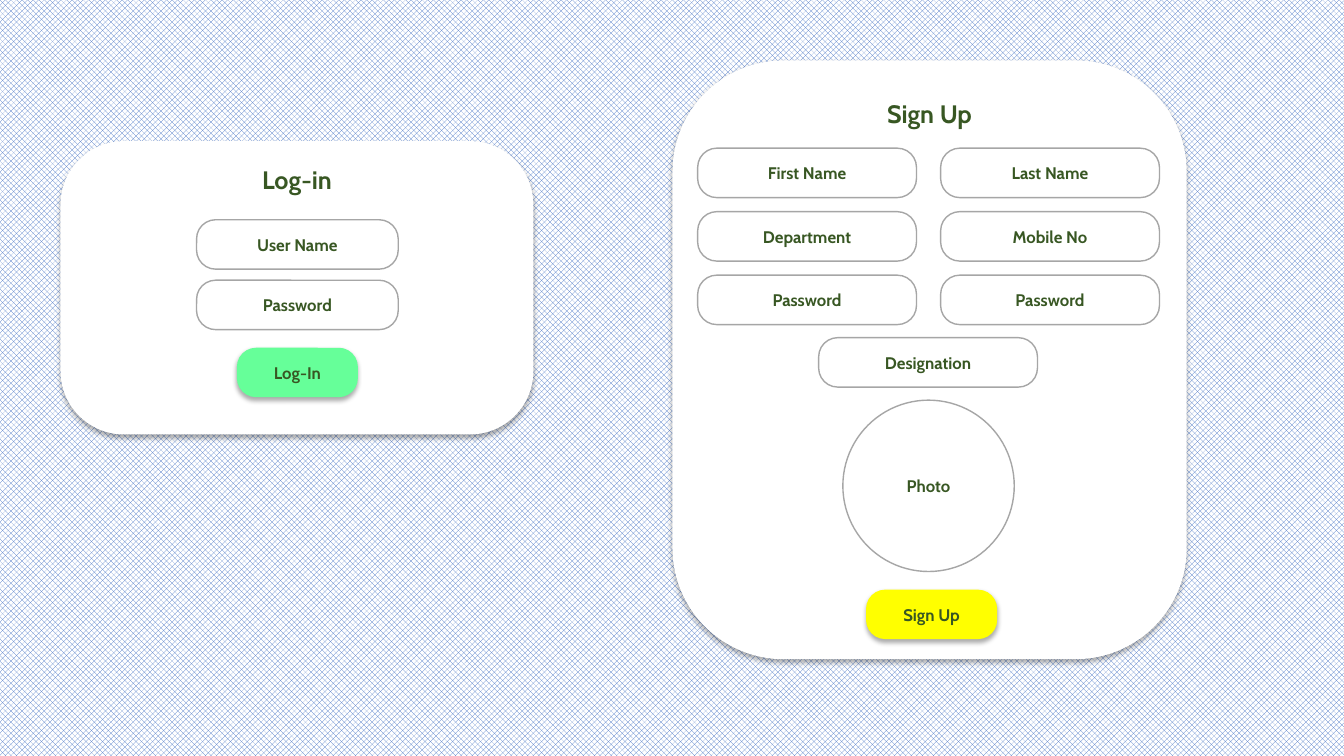
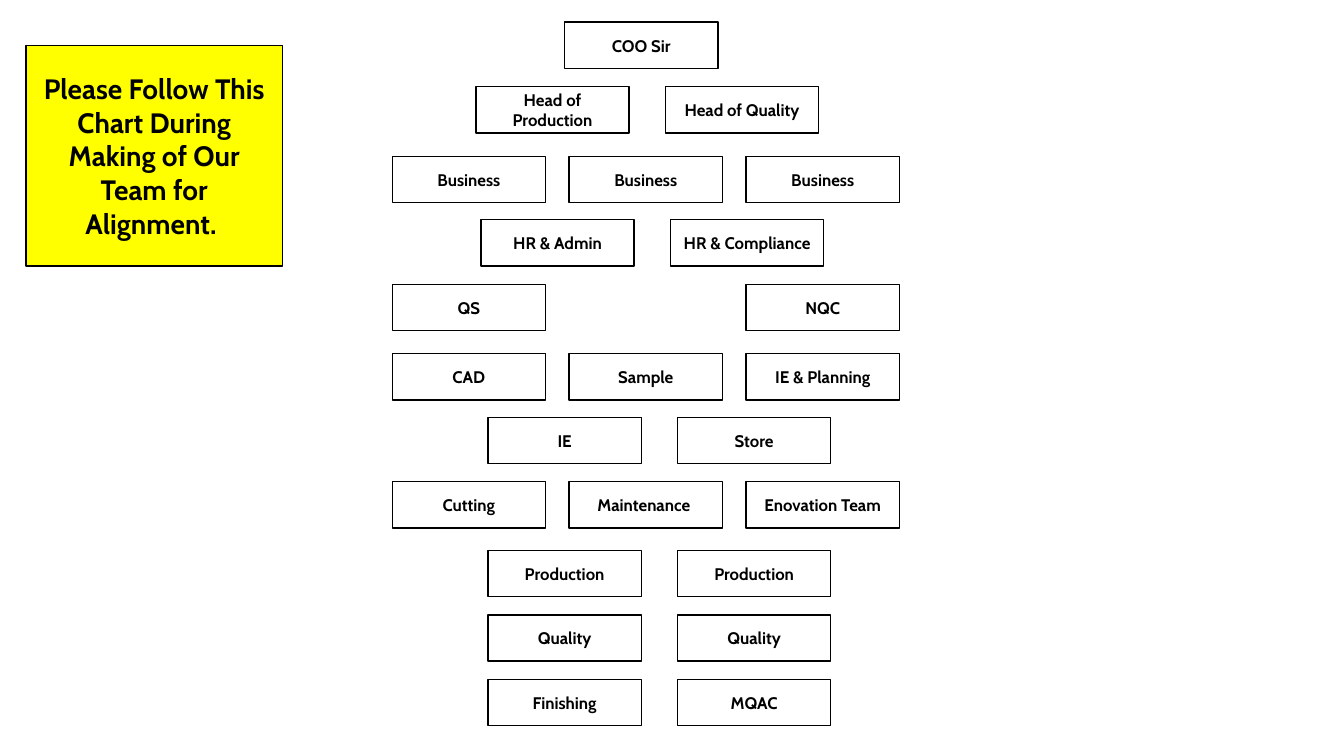
from dataclasses import dataclass

from lxml import etree
from pptx import Presentation
from pptx import util as u
from pptx.dml.color import RGBColor
from pptx.enum import dml, shapes, text
from pptx.oxml import ns
from pptx.shapes.autoshape import Shape
from pptx.shapes.shapetree import GroupShapes, SlideShapes
from pptx.slide import Slide

BLACK = RGBColor(0x00, 0x00, 0x00)
WHITE = RGBColor(0xFF, 0xFF, 0xFF)
BLUE = RGBColor(0x44, 0x72, 0xC4)
GREEN = RGBColor(0x38, 0x57, 0x23)
GRAY = RGBColor(0xA6, 0xA6, 0xA6)
MINT = RGBColor(0x66, 0xFF, 0x99)
YELLOW = RGBColor(0xFF, 0xFF, 0x00)

FONT = "Cabin"
RECT = shapes.MSO_SHAPE.RECTANGLE
ROUND = shapes.MSO_SHAPE.ROUNDED_RECTANGLE
OVAL = shapes.MSO_SHAPE.OVAL
TOP = text.MSO_ANCHOR.TOP
MIDDLE = text.MSO_ANCHOR.MIDDLE

Tree = SlideShapes | GroupShapes


@dataclass(frozen=True)
class Style:
    form: shapes.MSO_SHAPE
    ink: RGBColor
    size: int = 12
    fill: RGBColor | None = None
    line: RGBColor | None = None
    bend: float | None = None
    shade: bool = False
    anchor: text.MSO_ANCHOR = MIDDLE


@dataclass(frozen=True)
class Box:
    label: str
    left: float
    top: float
    width: float
    height: float
    style: Style


@dataclass(frozen=True)
class Row:
    top: float
    left: float
    step: float
    names: tuple[str, ...]


CARD = Style(ROUND, GREEN, 18, WHITE, bend=0.216, shade=True, anchor=TOP)
FIELD = Style(ROUND, GREEN, line=GRAY, bend=0.386)
PHOTO = Style(OVAL, GREEN, line=GRAY)
ENTER = Style(ROUND, GREEN, fill=MINT, bend=0.386, shade=True)
JOIN = Style(ROUND, GREEN, fill=YELLOW, bend=0.386, shade=True)
ROLE = Style(RECT, BLACK, line=BLACK)
NOTE = Style(RECT, BLACK, 20, YELLOW, BLACK)

FIELD_H = 0.49
FIELD_W = 2.17
ROLE_W, ROLE_H = 1.52, 0.46
PAIR, TRIO = 1.88, 1.755

LOGIN = (
    Box("Log-in", 0.6, 1.4, 4.69, 2.91, CARD),
    Box("User Name", 1.95, 2.18, 2, FIELD_H, FIELD),
    Box("Password", 1.95, 2.78, 2, FIELD_H, FIELD),
    Box("Log-In", 2.35, 3.45, 1.2, FIELD_H, ENTER),
)

ENTRIES = ("First Name", "Last Name", "Department", "Mobile No", "Password", "Password")

SIGNUP = (
    Box("Sign Up", 6.67, 0.6, 5.1, 5.94, CARD),
    *(
        Box(name, 6.92 + i % 2 * 2.41, 1.47 + i // 2 * 0.63, FIELD_W, FIELD_H, FIELD)
        for i, name in enumerate(ENTRIES)
    ),
    Box("Designation", 8.12, 3.35, FIELD_W, FIELD_H, FIELD),
    Box("Photo", 8.36, 3.97, 1.7, 1.7, PHOTO),
    Box("Sign Up", 8.59, 5.85, 1.3, FIELD_H, JOIN),
)

ROWS = (
    Row(0.22, 5.6, 0, ("COO Sir",)),
    Row(0.86, 4.72, PAIR, ("Head of Production", "Head of Quality")),
    Row(1.55, 3.89, TRIO, ("Business", "Business", "Business")),
    Row(2.18, 4.77, PAIR, ("HR & Admin", "HR & Compliance")),
    Row(2.82, 3.89, 2 * TRIO, ("QS", "NQC")),
    Row(3.51, 3.89, TRIO, ("CAD", "Sample", "IE & Planning")),
    Row(4.14, 4.84, PAIR, ("IE", "Store")),
    Row(4.78, 3.89, TRIO, ("Cutting", "Maintenance ", "Enovation Team")),
    Row(5.46, 4.84, PAIR, ("Production", "Production")),
    Row(6.1, 4.84, PAIR, ("Quality", "Quality")),
    Row(6.74, 4.84, PAIR, ("Finishing", "MQAC")),
)

ADVICE = Box(
    "Please Follow This Chart During Making of Our Team for Alignment. ",
    0.26, 0.45, 2.54, 2.19, NOTE,
)


def add_shade(shape: Shape) -> None:
    effects = shape._element.spPr.find(ns.qn("a:effectLst"))
    shade = etree.SubElement(
        effects, ns.qn("a:outerShdw"),
        blurRad=str(u.Pt(3.5)), dist=str(u.Pt(2.2)), dir="5400000",
        algn="t", rotWithShape="0",
    )
    color = etree.SubElement(shade, ns.qn("a:srgbClr"), val=str(BLACK))
    etree.SubElement(color, ns.qn("a:alpha"), val="32000")


def draw_box(tree: Tree, box: Box) -> None:
    style = box.style
    place = map(u.Inches, (box.left, box.top, box.width, box.height))
    shape = tree.add_shape(style.form, *place)
    shape.shadow.inherit = False
    if style.bend is not None:
        shape.adjustments[0] = style.bend
    if style.fill is None:
        shape.fill.background()
    else:
        shape.fill.solid()
        shape.fill.fore_color.rgb = style.fill
    if style.line is None:
        shape.line.fill.background()
    else:
        shape.line.color.rgb = style.line
        shape.line.width = u.Pt(1)
    if style.shade:
        add_shade(shape)
    frame = shape.text_frame
    frame.word_wrap = True
    frame.vertical_anchor = style.anchor
    para = frame.paragraphs[0]
    para.alignment = text.PP_ALIGN.CENTER
    run = para.add_run()
    run.text = box.label
    run.font.name = FONT
    run.font.size = u.Pt(style.size)
    run.font.bold = True
    run.font.color.rgb = style.ink


def draw_forms(slide: Slide) -> None:
    fill = slide.background.fill
    fill.patterned()
    fill.pattern = dml.MSO_PATTERN.SOLID_DIAMOND
    fill.fore_color.rgb = BLUE
    fill.back_color.rgb = WHITE
    for form in (LOGIN, SIGNUP):
        group = slide.shapes.add_group_shape()
        for box in form:
            draw_box(group.shapes, box)


def draw_chart(slide: Slide) -> None:
    fill = slide.background.fill
    fill.solid()
    fill.fore_color.rgb = WHITE
    for row in ROWS:
        for i, name in enumerate(row.names):
            left = row.left + i * row.step
            draw_box(slide.shapes, Box(name, left, row.top, ROLE_W, ROLE_H, ROLE))
    draw_box(slide.shapes, ADVICE)


def main() -> None:
    deck = Presentation()
    deck.slide_width = u.Inches(13.33)
    deck.slide_height = u.Inches(7.5)
    blank = deck.slide_layouts[6]
    for draw in (draw_forms, draw_chart):
        draw(deck.slides.add_slide(blank))
    deck.save("out.pptx")


if __name__ == "__main__":
    main()
